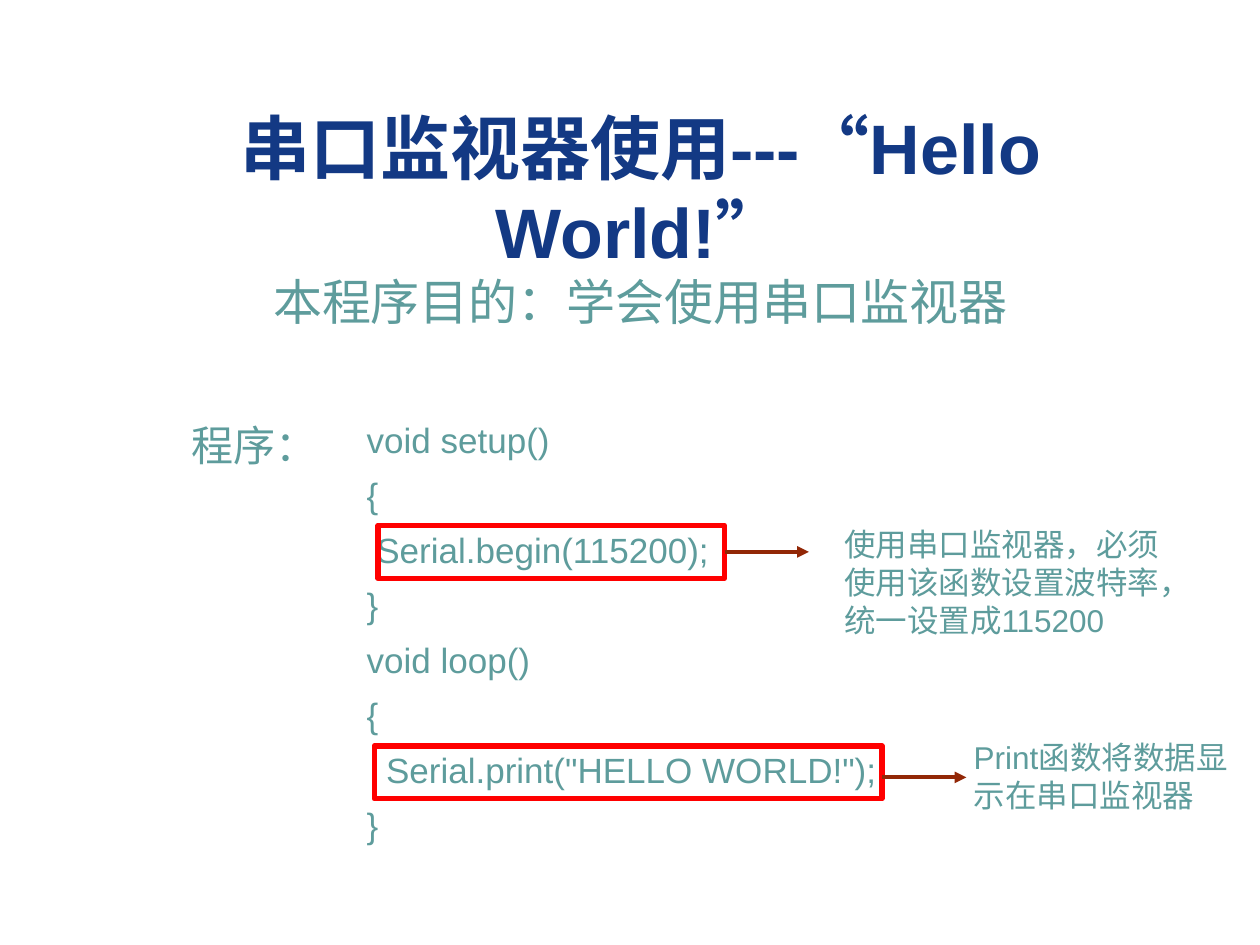
import lxml.etree
import pptx
import pptx.util
import pptx.dml.color
import pptx.enum.shapes
import pptx.enum.text
import pptx.oxml.ns

Inches = pptx.util.Inches
Pt = pptx.util.Pt
Align = pptx.enum.text.PP_ALIGN
Anchor = pptx.enum.text.MSO_ANCHOR
qn = pptx.oxml.ns.qn

NAVY, TEAL, RED, BROWN = "133984", "5E9C9C", "FF0000", "922706"

TITLE = "串口监视器使用---“Hello World!”"
PURPOSE = "本程序目的：学会使用串口监视器"
CODE = [
    "void setup()",
    "{",
    " Serial.begin(115200);",
    "}",
    "void loop()",
    "{",
    '  Serial.print("HELLO WORLD!");',
    "}",
]
LABEL = "程序："
CALLS = [
    {
        "frame": (3, 4.17, 2.75, 0.42),
        "arrow_y": 4.38,
        "note": "使用串口监视器，必须使用该函数设置波特率，统一设置成115200",
        "note_box": (6.6, 4.12, 2.71, 1.3),
    },
    {
        "frame": (2.97, 5.92, 4.03, 0.42),
        "arrow_y": 6.17,
        "note": "Print函数将数据显示在串口监视器",
        "note_box": (7.63, 5.81, 2.37, 0.7),
    },
]
ARROW_LENGTH = 0.67


def rgb(value):
    return pptx.dml.color.RGBColor.from_string(value)


def add_text(slide, box, lines, size, color=TEAL, bold=False, align=Align.LEFT,
             anchor=Anchor.TOP, spacing=None, before=0, left=0.1, right=0.1):
    frame = slide.shapes.add_textbox(*map(Inches, box)).text_frame
    frame.word_wrap = True
    frame.vertical_anchor = anchor
    frame.margin_left, frame.margin_right = Inches(left), Inches(right)
    frame.text = "\n".join(lines)
    for paragraph in frame.paragraphs:
        paragraph.alignment = align
        paragraph.space_before = Pt(before)
        if spacing:
            paragraph.line_spacing = spacing
        font = paragraph.font
        font.name, font.size, font.bold = "Arial", Pt(size), bold
        font.color.rgb = rgb(color)


def add_frame(slide, box):
    shape = slide.shapes.add_shape(
        pptx.enum.shapes.MSO_SHAPE.RECTANGLE, *map(Inches, box))
    shape.shadow.inherit = False
    shape.fill.background()
    shape.line.color.rgb = rgb(RED)
    shape.line.width = Pt(3)
    return shape


def add_arrow(slide, x, y):
    arrow = slide.shapes.add_connector(
        pptx.enum.shapes.MSO_CONNECTOR.STRAIGHT,
        Inches(x), Inches(y), Inches(x + ARROW_LENGTH), Inches(y))
    arrow.line.color.rgb = rgb(BROWN)
    arrow.line.width = Pt(2.25)
    properties = arrow._element.find(qn("p:spPr"))
    line = properties.find(qn("a:ln"))
    lxml.etree.SubElement(line, qn("a:tailEnd"), type="triangle")
    lxml.etree.SubElement(properties, qn("a:effectLst"))
    return arrow


def main():
    presentation = pptx.Presentation()
    presentation.slide_width, presentation.slide_height = Inches(10), Inches(7.5)
    slide = presentation.slides.add_slide(presentation.slide_layouts[6])

    add_text(slide, (0.46, 1, 9.25, 1), [TITLE], 40, NAVY, True, Align.CENTER,
             Anchor.MIDDLE, left=0.8, right=0.8)
    add_text(slide, (0.63, 3, 8.62, 4), CODE, 20, anchor=Anchor.MIDDLE,
             spacing=1.1, before=5, left=2.28)
    add_text(slide, (0.77, 1.83, 8.62, 1.07), [PURPOSE], 28, align=Align.CENTER,
             anchor=Anchor.MIDDLE, spacing=1.1, before=7)
    add_text(slide, (1.42, 3.28, 1.33, 0.5), [LABEL], 24)

    for call in CALLS:
        left, top, width, height = call["frame"]
        frame = add_frame(slide, call["frame"])
        arrow = add_arrow(slide, left + width, call["arrow_y"])
        if abs(top + height / 2 - call["arrow_y"]) < 0.01:
            arrow.begin_connect(frame, 3)
        add_text(slide, call["note_box"], [call["note"]], 18)

    presentation.save("out.pptx")


if __name__ == "__main__":
    main()
